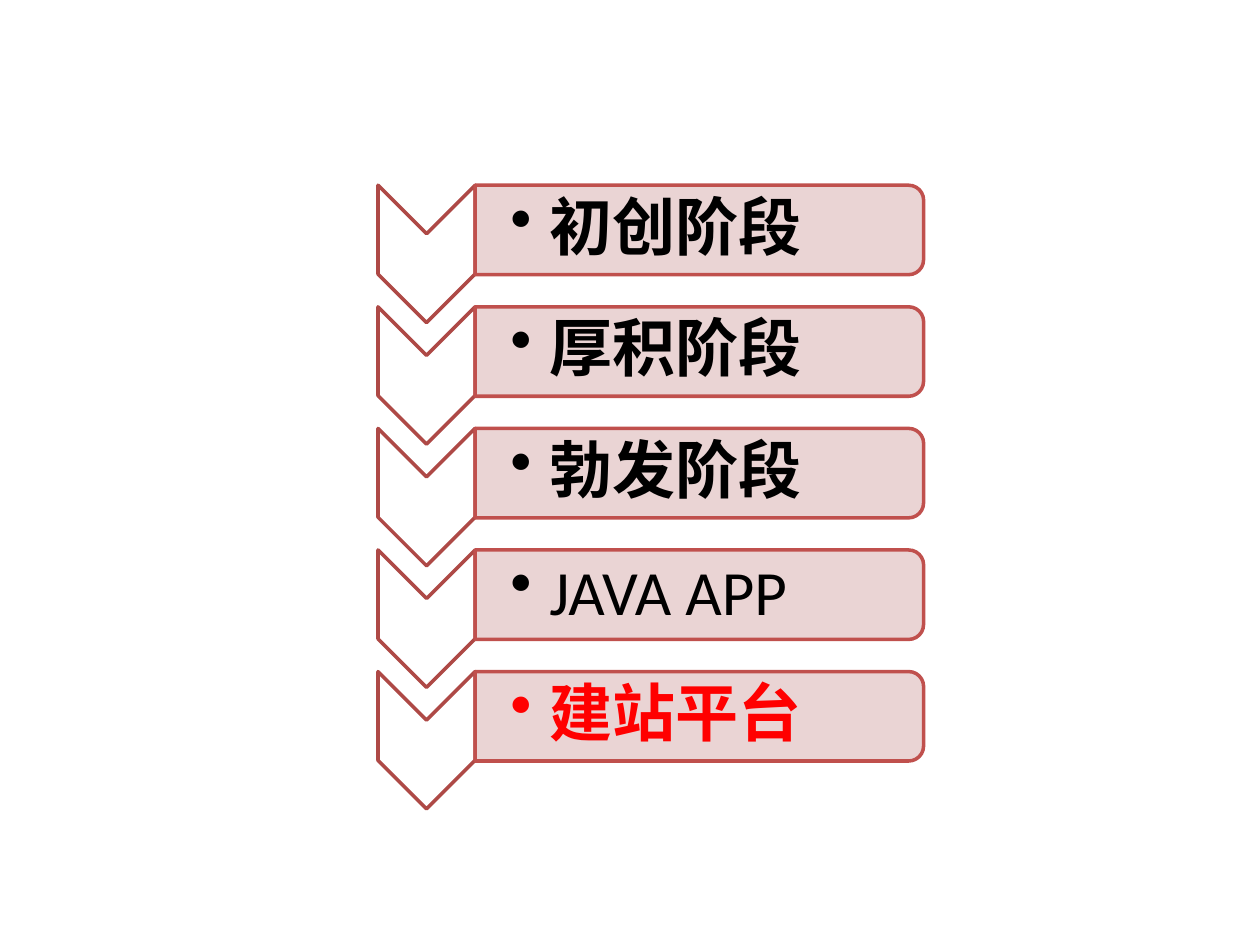
from dataclasses import dataclass

from lxml import etree
from pptx import Presentation
from pptx import util as u
from pptx.dml.color import RGBColor
from pptx.enum import shapes, text
from pptx.oxml import ns

COLORS = {
    "background": "FFFFFF",
    "chevron_line": "AE4946",
    "panel": "E8D0D0",
    "panel_line": "C0504D",
    "text": "000000",
    "highlight": "FF0000",
}
FONT = "Calibri"

# Grid in inches: a chevron column, a panel column and five equal rows
TOP, ROW_PITCH = 1.47, 3.86 / 4
CHEVRON_LEFT, CHEVRON_WIDTH, CHEVRON_HEIGHT = 3.0, 0.77, 1.09
PANEL_LEFT, PANEL_WIDTH, PANEL_HEIGHT = CHEVRON_LEFT + CHEVRON_WIDTH, 3.56, 0.71
LABEL_WIDTH, LABEL_HEIGHT = 3.53, 0.64
BULLET_INDENT = 0.31


@dataclass
class Stage:
    label: str
    bold: bool = True
    color: str = "text"


STAGES = [
    Stage("初创阶段"),
    Stage("厚积阶段"),
    Stage("勃发阶段"),
    Stage("JAVA APP", bold=False),
    Stage("建站平台", color="highlight"),
]


def rgb(name: str) -> RGBColor:
    return RGBColor.from_string(COLORS[name])


def add_turned_shape(group, kind, left: float, top: float, width: float,
                     height: float, fill: str, line: str):
    """Add a shape turned by 90 degrees that covers the given area."""
    x = left + (width - height) / 2
    y = top + (height - width) / 2
    shape = group.shapes.add_shape(
        kind, u.Inches(x), u.Inches(y), u.Inches(height), u.Inches(width))
    shape.rotation = 90
    shape.shadow.inherit = False
    shape.fill.solid()
    shape.fill.fore_color.rgb = rgb(fill)
    shape.line.color.rgb = rgb(line)
    shape.line.width = u.Pt(2)
    return shape


def set_opacity(shape, percent: int) -> None:
    color = shape.fill._xPr.find(ns.qn("a:solidFill"))[0]
    etree.SubElement(color, ns.qn("a:alpha"), val=str(percent * 1000))


def add_bullet(paragraph) -> None:
    properties = paragraph._p.get_or_add_pPr()
    properties.set("marL", str(u.Inches(BULLET_INDENT)))
    properties.set("indent", str(-u.Inches(BULLET_INDENT)))
    etree.SubElement(properties, ns.qn("a:buChar"), char="•")


def add_label(group, stage: Stage, top: float) -> None:
    box = group.shapes.add_textbox(
        u.Inches(PANEL_LEFT), u.Inches(top),
        u.Inches(LABEL_WIDTH), u.Inches(LABEL_HEIGHT))
    frame = box.text_frame
    frame.word_wrap = True
    frame.vertical_anchor = text.MSO_ANCHOR.MIDDLE
    frame.margin_left = u.Inches(0.28)
    frame.margin_top = frame.margin_right = frame.margin_bottom = u.Inches(0.03)

    paragraph = frame.paragraphs[0]
    paragraph.level = 1
    add_bullet(paragraph)
    paragraph.line_spacing = 0.9
    run = paragraph.add_run()
    run.text = stage.label
    run.font.name = FONT
    run.font.size = u.Pt(36)
    run.font.bold = stage.bold
    run.font.color.rgb = rgb(stage.color)


def add_stage(group, stage: Stage, row: int) -> None:
    top = TOP + row * ROW_PITCH
    add_turned_shape(group, shapes.MSO_SHAPE.CHEVRON, CHEVRON_LEFT, top,
                     CHEVRON_WIDTH, CHEVRON_HEIGHT, "background", "chevron_line")
    panel = add_turned_shape(group, shapes.MSO_SHAPE.ROUND_2_SAME_RECTANGLE,
                             PANEL_LEFT, top, PANEL_WIDTH, PANEL_HEIGHT,
                             "panel", "panel_line")
    set_opacity(panel, 90)
    add_label(group, stage, top + (PANEL_HEIGHT - LABEL_HEIGHT) / 2)


def main() -> None:
    presentation = Presentation()
    presentation.slide_width = u.Inches(10)
    presentation.slide_height = u.Inches(7.5)
    slide = presentation.slides.add_slide(presentation.slide_layouts[6])
    slide.background.fill.solid()
    slide.background.fill.fore_color.rgb = rgb("background")

    # Vertical chevron list, one stage per row
    group = slide.shapes.add_group_shape()
    for row, stage in enumerate(STAGES):
        add_stage(group, stage, row)

    presentation.save("out.pptx")


if __name__ == "__main__":
    main()
